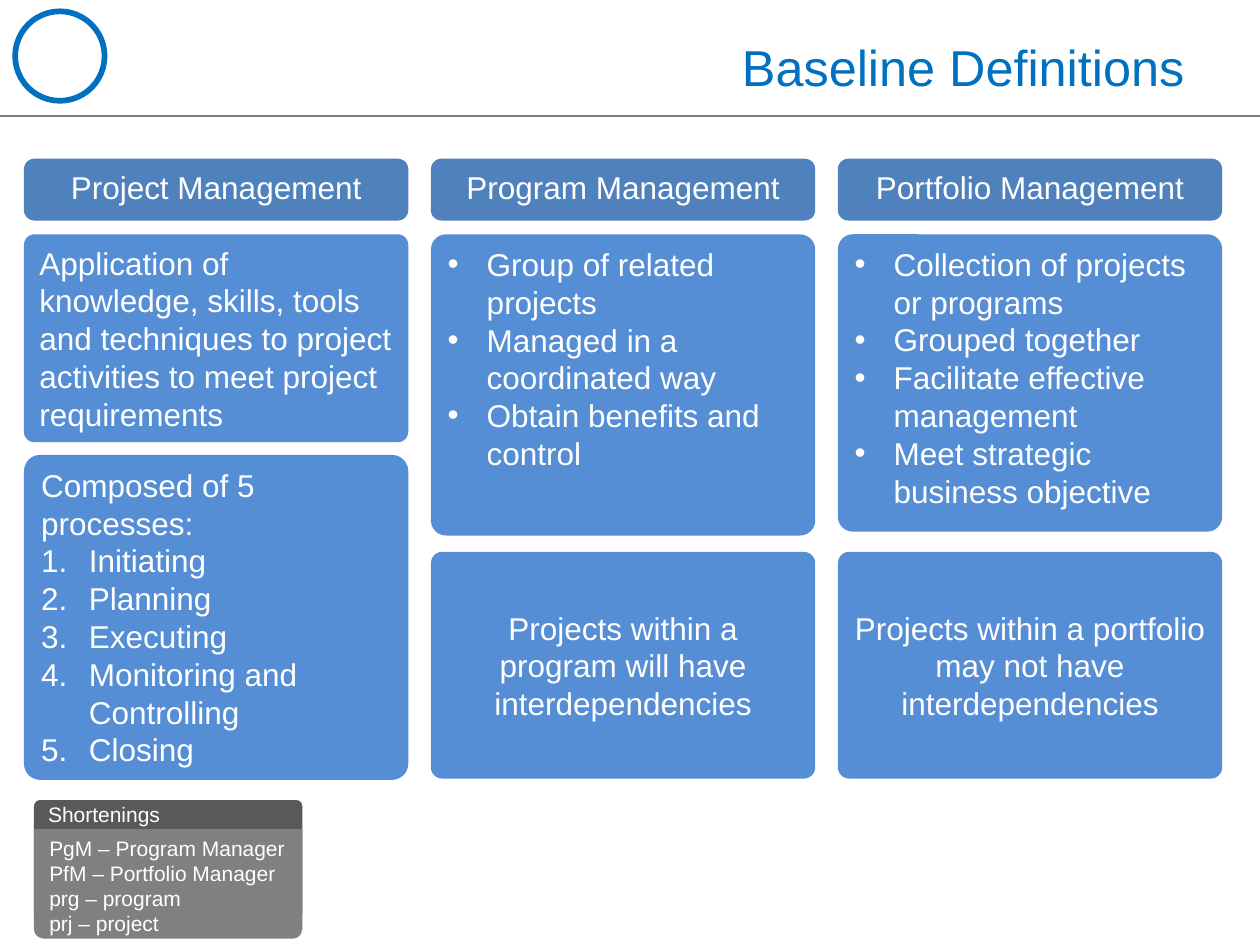
from pptx import Presentation
from pptx.dml.color import RGBColor
from pptx.enum.shapes import MSO_CONNECTOR, MSO_SHAPE
from pptx.enum.text import MSO_ANCHOR, PP_ALIGN
from pptx.oxml.ns import qn
from pptx.util import Inches, Pt
from lxml.etree import SubElement

COLORS = {"accent": "0070C0", "rule": "808080", "header": "4F81BD", "body": "558ED5",
          "legend_head": "595959", "legend": "808080", "white": "FFFFFF"}
W, H = 10, 7.5
# Column grid and shared rows, in inches
COL_X, COL_W, COL_STEP = 0.19, 3.05, 3.23
HEAD_Y, HEAD_H, BODY_Y, NOTE_Y, NOTE_H = 1.26, 0.49, 1.86, 4.38, 1.8
LEGEND_X, LEGEND_W = 0.27, 2.13
# List style: hanging indent, bullet tag, bullet attributes
LISTS = {"dot": (0.31, "a:buChar", {"char": "•"}),
         "number": (0.38, "a:buAutoNum", {"type": "arabicPeriod"})}

COLUMNS = [
    ("Project Management", [
        (BODY_Y, 1.65, ["Application of knowledge, skills, tools and techniques "
                        "to project activities to meet project requirements"], {}),
        (3.61, 2.58, ["Composed of 5 processes:", "Initiating", "Planning", "Executing",
                      "Monitoring and Controlling", "Closing"],
         {"bullet": "number", "first": 1})]),
    ("Program Management", [
        (BODY_Y, 2.39, ["Group of related projects", "Managed in a coordinated way",
                        "Obtain benefits and control"], {"bullet": "dot"}),
        (NOTE_Y, NOTE_H, ["Projects within a program will have interdependencies"],
         {"align": PP_ALIGN.CENTER, "anchor": MSO_ANCHOR.MIDDLE})]),
    ("Portfolio Management", [
        (BODY_Y, 2.36, ["Collection of projects or programs", "Grouped together",
                        "Facilitate effective management",
                        "Meet strategic business objective"], {"bullet": "dot"}),
        (NOTE_Y, NOTE_H, ["Projects within a portfolio may not have interdependencies"],
         {"align": PP_ALIGN.CENTER, "anchor": MSO_ANCHOR.MIDDLE})]),
]
LEGEND = ["PgM – Program Manager", "PfM – Portfolio Manager", "prg – program", "prj – project"]


def rgb(name):
    return RGBColor.from_string(COLORS[name])


def add_bullet(p, style):
    indent, tag, attrs = LISTS[style]
    pPr = p._p.get_or_add_pPr()
    pPr.set("marL", str(Inches(indent)))
    pPr.set("indent", str(-Inches(indent)))
    if style == "dot":
        SubElement(pPr, qn("a:buFont"), typeface="Arial")
    SubElement(pPr, qn(tag), **attrs)


def write(sp, lines, size=18, color="white", align=PP_ALIGN.LEFT, anchor=MSO_ANCHOR.TOP,
          bullet=None, first=0, top=0.05):
    tf = sp.text_frame
    frame = {"word_wrap": True, "vertical_anchor": anchor, "margin_top": Inches(top)}
    for name, value in frame.items():
        setattr(tf, name, value)
    for i, line in enumerate(lines):
        p = tf.paragraphs[0] if i == 0 else tf.add_paragraph()
        p.alignment = align
        if bullet and i >= first:
            add_bullet(p, bullet)
        r = p.add_run()
        r.text = line
        r.font.color.rgb = rgb(color)
        for name, value in {"name": "Arial", "size": Pt(size)}.items():
            setattr(r.font, name, value)


def add_box(s, kind, box, fill, adj=()):
    sp = s.shapes.add_shape(kind, *map(Inches, box))
    sp.shadow.inherit = False
    sp.line.fill.background()
    sp.fill.solid()
    sp.fill.fore_color.rgb = rgb(fill)
    for i, value in enumerate(adj):
        sp.adjustments[i] = value
    return sp


def add_heading(s):
    # Ring emblem
    ring = s.shapes.add_shape(MSO_SHAPE.OVAL, *map(Inches, (0.12, 0.09, 0.71, 0.71)))
    ring.shadow.inherit = False
    ring.fill.background()
    ring.line.color.rgb = rgb("accent")
    ring.line.width = Pt(3.25)
    # Rule across the slide
    rule = s.shapes.add_connector(MSO_CONNECTOR.STRAIGHT, 0, Inches(0.92), Inches(W), Inches(0.92))
    rule.line.color.rgb = rgb("rule")
    rule.line.width = Pt(0.75)
    SubElement(rule._element.spPr, qn("a:effectLst"))
    # Title
    title = s.shapes.add_textbox(*map(Inches, (0.5, 0.3, W - 1, 0.46)))
    write(title, ["Baseline Definitions"], 28.8, "accent", PP_ALIGN.RIGHT, MSO_ANCHOR.MIDDLE)


def add_column(s, col, header, cards):
    x = COL_X + col * COL_STEP
    sp = add_box(s, MSO_SHAPE.ROUNDED_RECTANGLE, (x, HEAD_Y, COL_W, HEAD_H), "header")
    write(sp, [header], align=PP_ALIGN.CENTER)
    for y, h, lines, fmt in cards:
        sp = add_box(s, MSO_SHAPE.ROUNDED_RECTANGLE, (x, y, COL_W, h), "body", [0.05])
        write(sp, lines, **fmt)


def add_legend(s):
    head = add_box(s, MSO_SHAPE.ROUNDED_RECTANGLE, (LEGEND_X, 6.35, LEGEND_W, 0.94),
                   "legend_head", [0.05])
    write(head, ["Shortenings"], 12, align=PP_ALIGN.JUSTIFY, top=0)
    body = add_box(s, MSO_SHAPE.ROUND_2_SAME_RECTANGLE, (LEGEND_X, 6.58, LEGEND_W, 0.87),
                   "legend", [0, 0.09])
    write(body, LEGEND, 12, align=PP_ALIGN.JUSTIFY)


def main():
    prs = Presentation()
    prs.slide_width, prs.slide_height = Inches(W), Inches(H)
    s = prs.slides.add_slide(prs.slide_layouts[6])
    add_heading(s)
    for col, (header, cards) in enumerate(COLUMNS):
        add_column(s, col, header, cards)
    add_legend(s)
    prs.save("out.pptx")


main()
